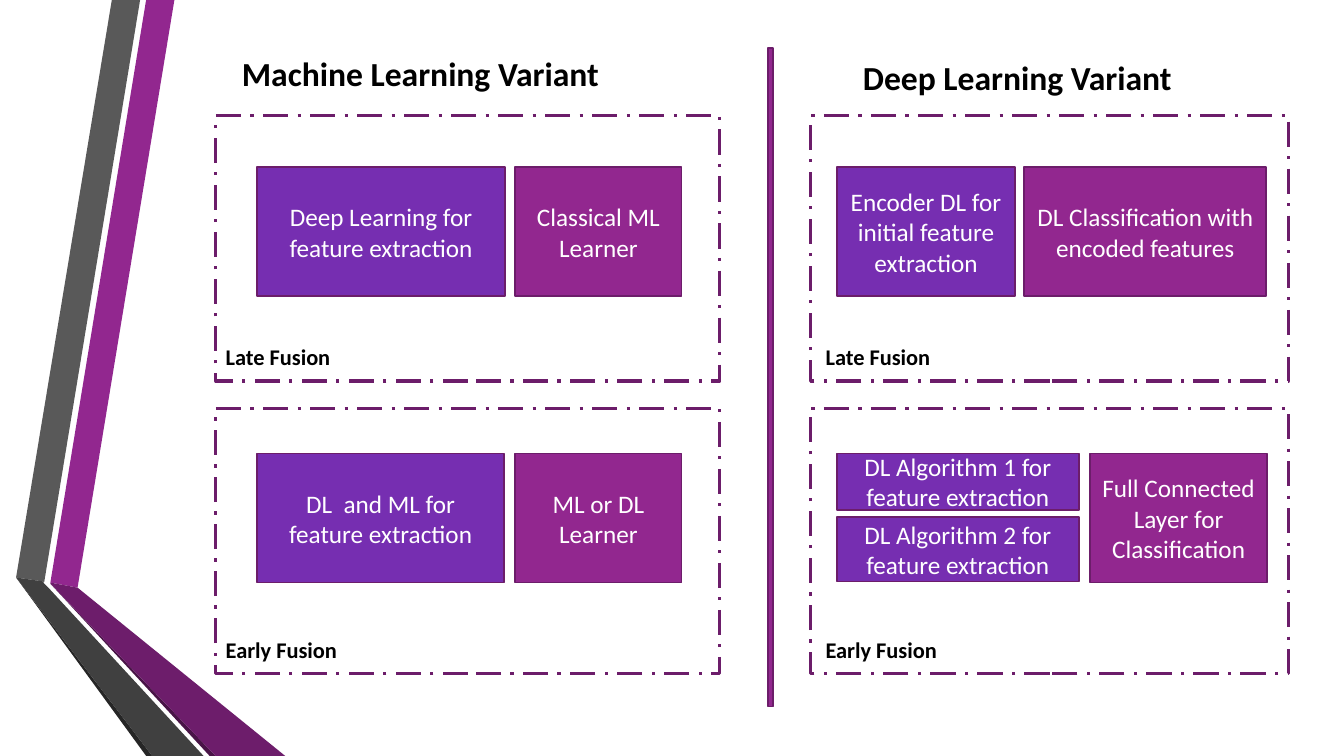
from pptx import Presentation
from pptx import util as u
from pptx.dml.color import RGBColor
from pptx.enum import dml, shapes, text

COLORS = {
    "magenta": "92278F", "violet": "762EB1", "outline": "6C1D6A",
    "plum": "6D1D6B", "deep plum": "491447",
    "gray": "595959", "dark gray": "404040", "charcoal": "262626",
    "black": "000000", "white": "FFFFFF",
}
FONT = "Calibri"

deck = Presentation()
deck.slide_width, deck.slide_height = u.Inches(13.33), u.Inches(7.5)
page = deck.slides.add_slide(deck.slide_layouts[6])


def add_rectangle(left, top, width, height, fill=None, weight=1.25):
    box = page.shapes.add_shape(
        shapes.MSO_SHAPE.RECTANGLE, *map(u.Inches, (left, top, width, height)))
    box.shadow.inherit = False
    if fill:
        box.fill.solid()
        box.fill.fore_color.rgb = RGBColor.from_string(COLORS[fill])
    else:
        box.fill.background()
    box.line.color.rgb = RGBColor.from_string(COLORS["outline"])
    box.line.width = u.Pt(weight)
    return box


def write(box, words, size, color, bold=False):
    box.text_frame.word_wrap = True
    span = box.text_frame.paragraphs[0].add_run()
    span.text = words
    span.font.name, span.font.size, span.font.bold = FONT, u.Pt(size), bold
    span.font.color.rgb = RGBColor.from_string(COLORS[color])


# Folded ribbons on the left edge, in hundredths of an inch
ribbons = [
    ("magenta", [(50, 578), (77, 583), (173, 0), (145, 0)]),
    ("gray", [(139, 0), (111, 0), (16, 573), (44, 577)]),
    ("charcoal", [(16, 573), (145, 750), (151, 750)]),
    ("deep plum", [(50, 579), (208, 750), (214, 750)]),
    ("plum", [(50, 578), (50, 579), (214, 750), (283, 750), (77, 583)]),
    ("dark gray", [(16, 573), (151, 750), (202, 750), (48, 583), (43, 578), (44, 577)]),
]
for color, points in ribbons:
    builder = page.shapes.build_freeform(*points[0], scale=u.Inches(0.01))
    builder.add_line_segments(points[1:], close=True)
    ribbon = builder.convert_to_shape()
    ribbon.shadow.inherit = False
    ribbon.fill.solid()
    ribbon.fill.fore_color.rgb = RGBColor.from_string(COLORS[color])
    ribbon.line.fill.background()

add_rectangle(7.62, 0.48, 0.05, 6.53, "magenta")

# Variants are columns: heading, heading place and width, panel and label places
variants = [
    ("Machine Learning Variant", 2.3, 0.48, 4.21, 2.14, 5, 2.14),
    ("Deep Learning Variant", 8.46, 0.52, 3.56, 8.04, 4.74, 8.09),
]
# Fusions are rows: label, panel top, label top
fusions = [("Late Fusion", 1.15, 3.36), ("Early Fusion", 4.05, 6.26)]
PANEL_HEIGHT = 2.63

for heading, left, top, width, panel_left, panel_width, label_left in variants:
    box = page.shapes.add_textbox(*map(u.Inches, (left, top, width, 0.5)))
    write(box, heading, 24, "black", bold=True)
    for label, panel_top, label_top in fusions:
        panel = add_rectangle(panel_left, panel_top, panel_width, PANEL_HEIGHT, weight=2.25)
        panel.line.dash_style = dml.MSO_LINE.LONG_DASH_DOT
        box = page.shapes.add_textbox(*map(u.Inches, (label_left, label_top, 1.4, 0.37)))
        write(box, label, 16, "black", bold=True)

# Processing steps: violet extracts features, magenta learns from them
LATE, EARLY, STEP_HEIGHT = 1.66, 4.5, 1.28
steps = [
    ("Deep Learning for feature extraction", 2.55, LATE, 2.46, STEP_HEIGHT, "violet"),
    ("Classical ML Learner", 5.11, LATE, 1.65, STEP_HEIGHT, "magenta"),
    ("DL  and ML for feature extraction", 2.55, EARLY, 2.45, STEP_HEIGHT, "violet"),
    ("ML or DL Learner", 5.11, EARLY, 1.65, STEP_HEIGHT, "magenta"),
    ("Encoder DL for initial feature extraction", 8.3, LATE, 1.77, STEP_HEIGHT, "violet"),
    ("DL Classification with encoded features", 10.16, LATE, 2.4, STEP_HEIGHT, "magenta"),
    ("DL Algorithm 1 for feature extraction", 8.3, EARLY, 2.4, 0.56, "violet"),
    ("DL Algorithm 2 for feature extraction", 8.3, 5.13, 2.4, 0.64, "violet"),
    ("Full Connected Layer for Classification", 10.81, EARLY, 1.76, STEP_HEIGHT, "magenta"),
]
for words, left, top, width, height, fill in steps:
    step = add_rectangle(left, top, width, height, fill)
    step.text_frame.vertical_anchor = text.MSO_ANCHOR.MIDDLE
    step.text_frame.paragraphs[0].alignment = text.PP_ALIGN.CENTER
    write(step, words, 18, "white")

deck.save("out.pptx")
